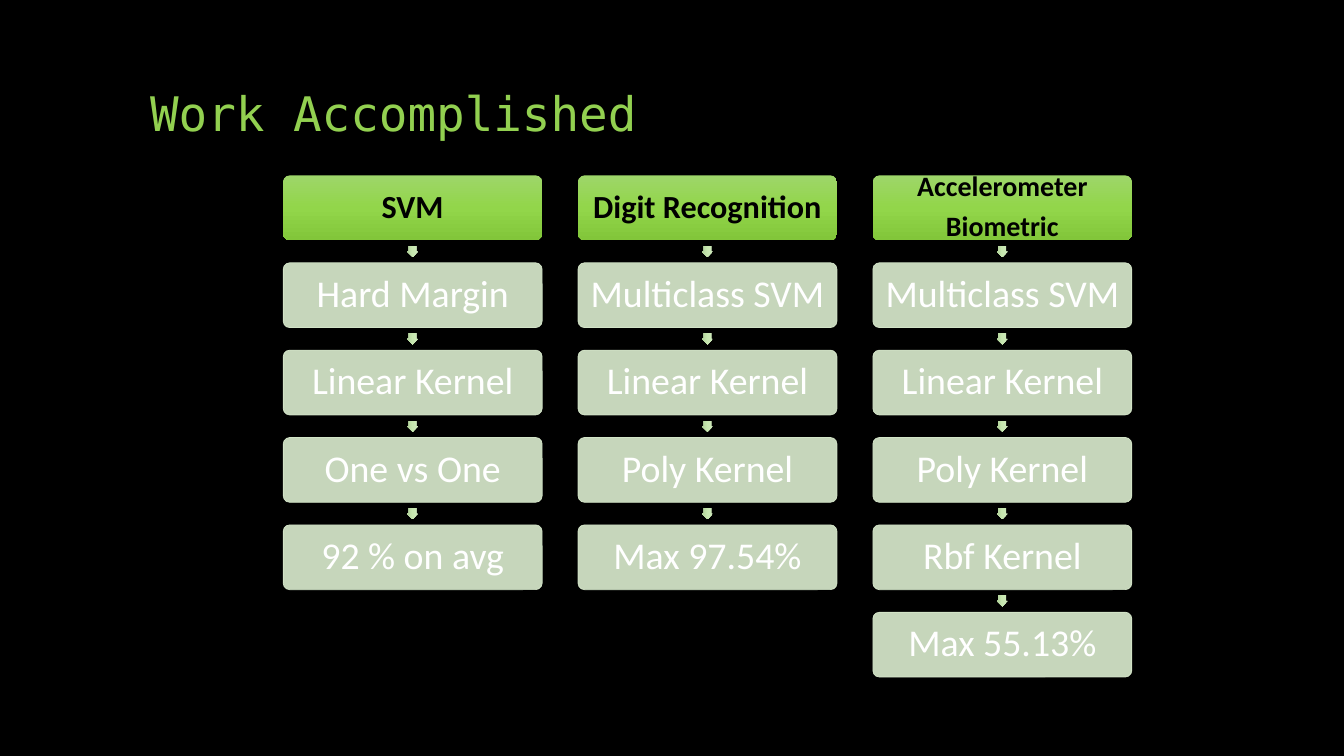
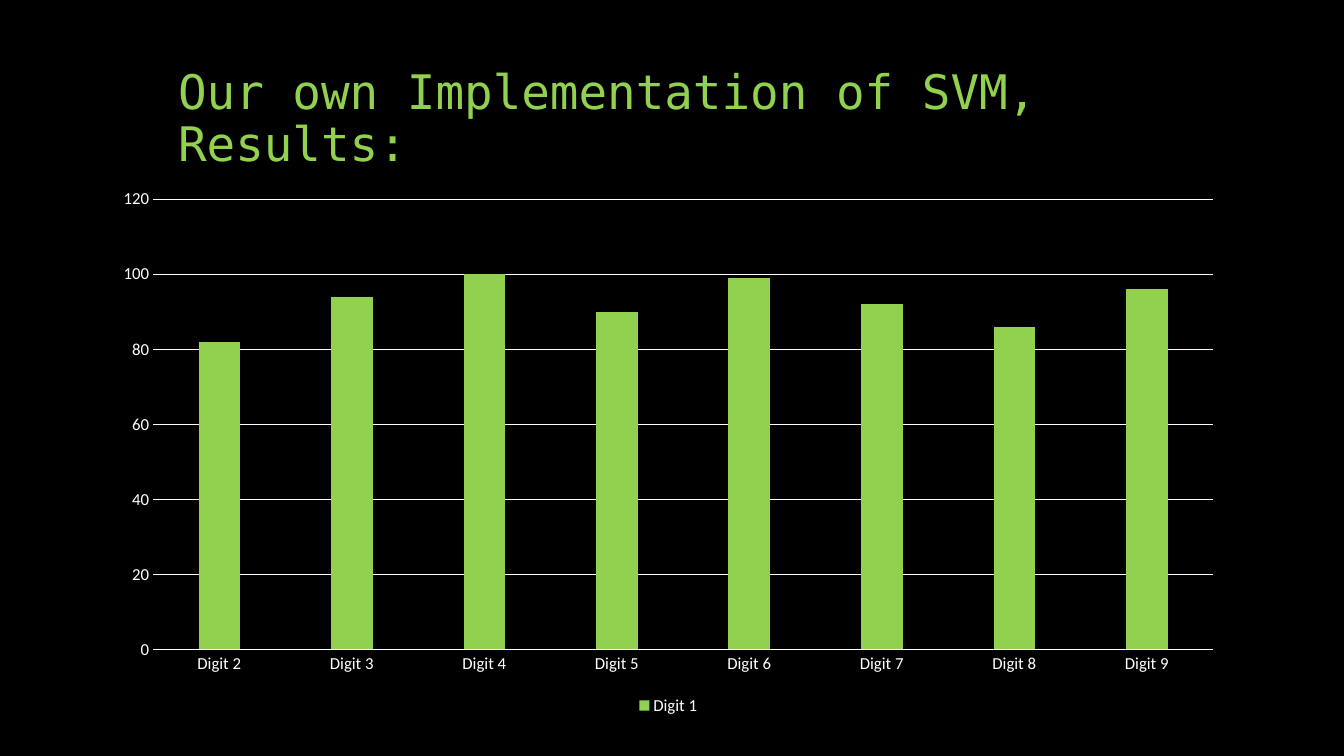
"""Builds two dark slides: a flow of work done and a chart of results."""
from copy import deepcopy

from lxml.etree import SubElement
from pptx import Presentation
from pptx.chart.data import CategoryChartData
from pptx.dml.color import RGBColor
from pptx.enum.chart import XL_CHART_TYPE, XL_LEGEND_POSITION, XL_TICK_MARK
from pptx.enum.shapes import MSO_SHAPE
from pptx.enum.text import MSO_ANCHOR, MSO_AUTO_SIZE, PP_ALIGN
from pptx.oxml.ns import qn
from pptx.util import Pt

GREEN, PALE, WHITE, BLACK = "92D050", "DCEED0", "FFFFFF", "000000"
HEAD = ("9ED669", "92D64A", "82C63A")
ARROW = ("CFE9BD", "C7E7B0", "B0D199")


def hue(code):
    return RGBColor.from_string(code)


def write(frame, text, size, color, font="Calibri", bold=False,
          align=PP_ALIGN.CENTER, anchor=MSO_ANCHOR.MIDDLE, gap=0, inset=None):
    frame.text = text
    frame.word_wrap = True
    frame.auto_size = MSO_AUTO_SIZE.NONE
    frame.vertical_anchor = anchor
    if inset is not None:
        frame.margin_left = frame.margin_right = Pt(inset)
        frame.margin_top = frame.margin_bottom = Pt(inset)
    for para in frame.paragraphs:
        para.alignment = align
        para.line_spacing = 0.9
        para.space_before = Pt(0)
        para.space_after = Pt(gap)
        for run in para.runs:
            run.font.name = font
            run.font.size = Pt(size)
            run.font.bold = bold
            run.font.color.rgb = hue(color)


deck = Presentation()
deck.slide_width, deck.slide_height = Pt(960), Pt(540)
back = deck.slide_master.background.fill
back.solid()
back.fore_color.rgb = hue(BLACK)

slides = []
for text, left, top in (
    ("Work Accomplished", 100, 15),
    ("Our own Implementation of SVM, Results:", 120, 36),
):
    slide = deck.slides.add_slide(deck.slide_layouts[5])
    title = slide.shapes.title
    title.left, title.top, title.width, title.height = Pt(left), Pt(top), Pt(720), Pt(90)
    write(title.text_frame, text, 34, GREEN, font="DejaVu Sans Mono",
          align=PP_ALIGN.LEFT, anchor=MSO_ANCHOR.BOTTOM)
    slides.append(slide)
flow, graph = slides

LEFT, TOP, WIDE, HIGH = 202.3, 125.3, 185, 46.3
STEP_X, STEP_Y, TIP = 210.6, 62.4, 8.1
COLUMNS = (
    ("SVM", 23, ("Hard Margin", "Linear Kernel", "One vs One", "92 % on avg")),
    ("Digit Recognition", 23,
     ("Multiclass SVM", "Linear Kernel", "Poly Kernel", "Max 97.54%")),
    ("Accelerometer\nBiometric", 20,
     ("Multiclass SVM", "Linear Kernel", "Poly Kernel", "Rbf Kernel", "Max 55.13%")),
)
blends = []
for col, (head, size, steps) in enumerate(COLUMNS):
    x = LEFT + col * STEP_X
    for row, text in enumerate((head, *steps)):
        y = TOP + row * STEP_Y
        box = flow.shapes.add_shape(
            MSO_SHAPE.ROUNDED_RECTANGLE, Pt(x), Pt(y), Pt(WIDE), Pt(HIGH))
        box.adjustments[0] = 0.1
        box.shadow.inherit = False
        if row == 0:
            box.line.fill.background()
            blends.append((box, HEAD))
            write(box.text_frame, text, size, BLACK, bold=True, gap=7, inset=3.5)
            continue
        box.line.width = Pt(0.5)
        for fill in (box.fill, box.line.fill):
            fill.solid()
            fill.fore_color.rgb = hue(PALE)
        for node in box._element.spPr.iter(qn("a:srgbClr")):
            SubElement(node, qn("a:alpha"), val="90000")
        write(box.text_frame, text, 27, WHITE, inset=4)
        tip = flow.shapes.add_shape(
            MSO_SHAPE.RIGHT_ARROW, Pt(x + (WIDE - TIP) / 2),
            Pt(y - (STEP_Y - HIGH + TIP) / 2), Pt(TIP), Pt(TIP))
        tip.rotation = 90
        tip.adjustments[0], tip.adjustments[1] = 0.67, 0.5
        tip.shadow.inherit = False
        tip.line.fill.background()
        blends.append((tip, ARROW))

for shape, shades in blends:
    shape.fill.gradient()
    shape.fill.gradient_angle = 270
    stops = shape._element.spPr.find(".//" + qn("a:gsLst"))
    stops.insert(1, deepcopy(stops[0]))
    for stop, shade, place in zip(shape.fill.gradient_stops, shades, (0, 0.5, 1)):
        stop.color.rgb = hue(shade)
        stop.position = place

data = CategoryChartData()
data.categories = [f"Digit {num}" for num in range(2, 10)]
data.add_series("Digit 1", (82, 94, 100, 90, 99, 92, 86, 96))
chart = graph.shapes.add_chart(
    XL_CHART_TYPE.COLUMN_CLUSTERED, Pt(72), Pt(127.4), Pt(810.7), Pt(386.6), data).chart
chart.has_title = False
chart.font.name = "Calibri"
chart.font.size = Pt(12)
chart.font.color.rgb = hue(WHITE)
chart.has_legend = True
chart.legend.position = XL_LEGEND_POSITION.BOTTOM
chart.legend.include_in_layout = False

plot = chart.plots[0]
plot.gap_width, plot.overlap = 219, -27
plot.vary_by_categories = False
bars = plot.series[0].format.fill
bars.solid()
bars.fore_color.rgb = hue(GREEN)

base, scale = chart.category_axis, chart.value_axis
scale.minimum_scale, scale.maximum_scale, scale.major_unit = 0, 120, 20
for axis in (base, scale):
    axis.major_tick_mark = axis.minor_tick_mark = XL_TICK_MARK.NONE
for line in (base.format.line, scale.major_gridlines.format.line):
    line.width = Pt(0.75)
    line.color.rgb = hue(WHITE)
scale.format.line.fill.background()

deck.save("out.pptx")
